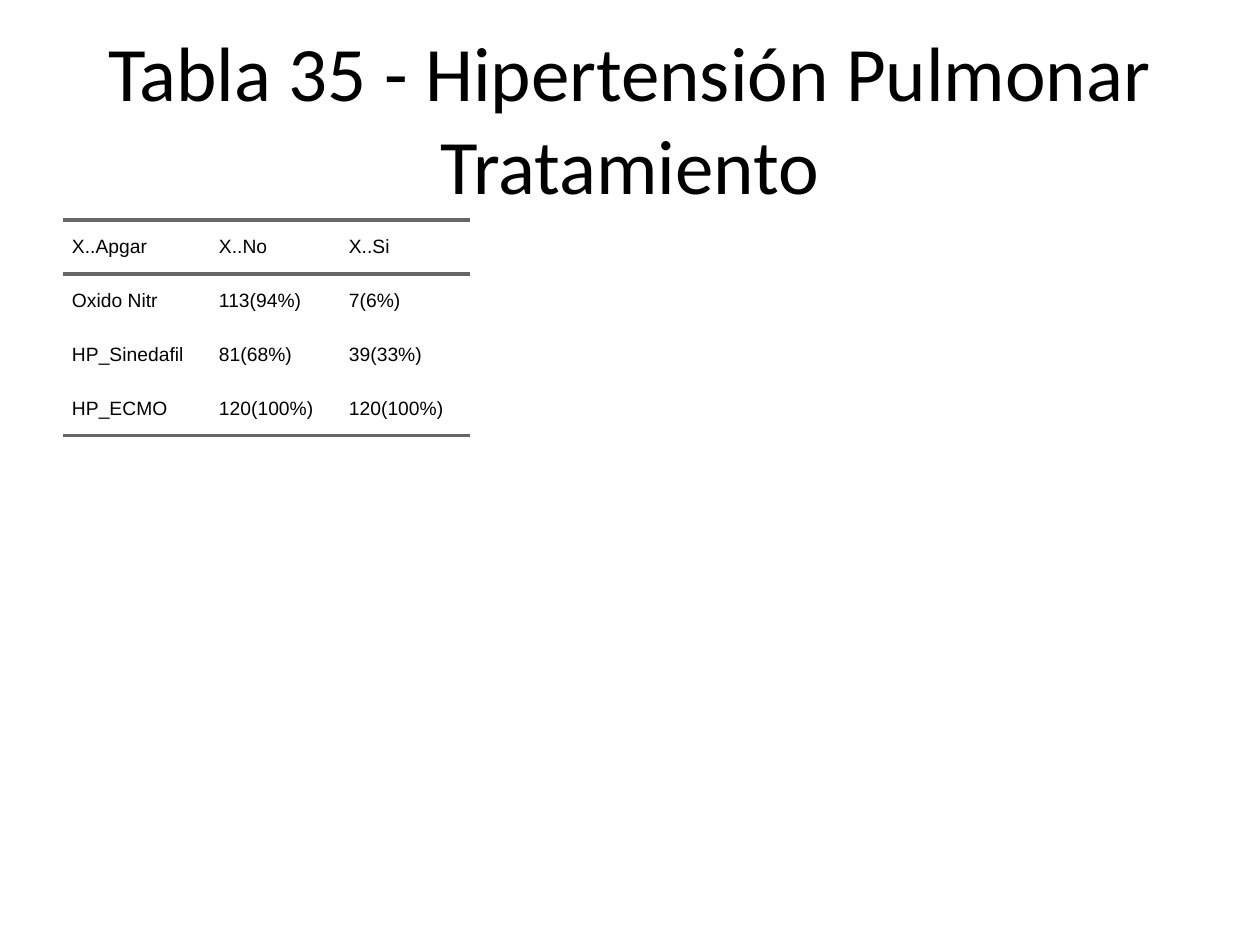
from dataclasses import dataclass

from lxml import etree
from pptx import Presentation
from pptx import util as u
from pptx.dml.color import RGBColor
from pptx.enum import text
from pptx.oxml import ns

PX_PER_INCH = 126
BLACK = "000000"
RULE = "666666"
NO_STYLE = "{2D5ABB26-0587-4C30-8999-92F81FD0307C}"


@dataclass(frozen=True)
class Box:
    x: int
    y: int
    w: int
    h: int


@dataclass(frozen=True)
class Row:
    values: tuple[str, ...]
    borders: tuple[str, ...] = ()


TITLE_BOX = Box(63, 38, 1134, 158)
TABLE_BOX = Box(63, 220, 1134, 624)
COLUMN_WIDTHS = (147, 130, 130)
ROW_HEIGHT = 54
CELL_INDENT = 9
ROWS = (
    Row(("X..Apgar", "X..No", "X..Si"), ("lnT", "lnB")),
    Row(("Oxido Nitr", "113(94%)", "7(6%)")),
    Row(("HP_Sinedafil", "81(68%)", "39(33%)")),
    Row(("HP_ECMO", "120(100%)", "120(100%)"), ("lnB",)),
)


def px(n: int) -> u.Emu:
    return u.Emu(round(n * 914400 / PX_PER_INCH))


def color(value: str) -> RGBColor:
    return RGBColor.from_string(value)


def add_run(p, words: str, font: str, size: int) -> None:
    r = p.add_run()
    r.text = words
    r.font.name = font
    r.font.size = u.Pt(size)
    r.font.color.rgb = color(BLACK)


def add_title(s, box: Box, words: str) -> None:
    sp = s.shapes.add_textbox(px(box.x), px(box.y), px(box.w), px(box.h))
    tf = sp.text_frame
    tf.word_wrap = True
    tf.auto_size = text.MSO_AUTO_SIZE.NONE
    tf.vertical_anchor = text.MSO_ANCHOR.MIDDLE
    p = tf.paragraphs[0]
    p.alignment = text.PP_ALIGN.CENTER
    add_run(p, words, "Calibri", 44)


def add_borders(cell, sides: tuple[str, ...]) -> None:
    tc_pr = cell._tc.get_or_add_tcPr()
    for i, side in enumerate(sides):
        ln = etree.Element(ns.qn(f"a:{side}"), w=str(u.Pt(2)))
        fill = etree.SubElement(ln, ns.qn("a:solidFill"))
        etree.SubElement(fill, ns.qn("a:srgbClr"), val=RULE)
        tc_pr.insert(i, ln)


def fill_cell(cell, words: str, borders: tuple[str, ...]) -> None:
    cell.margin_left = cell.margin_right = 0
    cell.margin_top = cell.margin_bottom = 0
    cell.vertical_anchor = text.MSO_ANCHOR.MIDDLE
    cell.fill.background()
    add_borders(cell, borders)
    p = cell.text_frame.paragraphs[0]
    p._p.get_or_add_pPr().set("marL", str(px(CELL_INDENT)))
    add_run(p, words, "Arial", 11)


def add_data_table(s, box: Box, rows: tuple[Row, ...]) -> None:
    frame = s.shapes.add_table(
        len(rows), len(COLUMN_WIDTHS), px(box.x), px(box.y), px(box.w), px(box.h)
    )
    table = frame.table
    table.first_row = table.horz_banding = False
    table._tbl.tblPr.find(ns.qn("a:tableStyleId")).text = NO_STYLE
    for column, width in zip(table.columns, COLUMN_WIDTHS):
        column.width = px(width)
    for i, row in enumerate(rows):
        table.rows[i].height = px(ROW_HEIGHT)
        for j, words in enumerate(row.values):
            fill_cell(table.cell(i, j), words, row.borders)
    frame.width, frame.height = px(box.w), px(box.h)


def main() -> None:
    prs = Presentation()
    prs.slide_width, prs.slide_height = u.Inches(10), u.Inches(7.5)
    s = prs.slides.add_slide(prs.slide_layouts[6])
    add_title(s, TITLE_BOX, "Tabla 35 - Hipertensión Pulmonar Tratamiento")
    add_data_table(s, TABLE_BOX, ROWS)
    prs.save("out.pptx")


if __name__ == "__main__":
    main()
